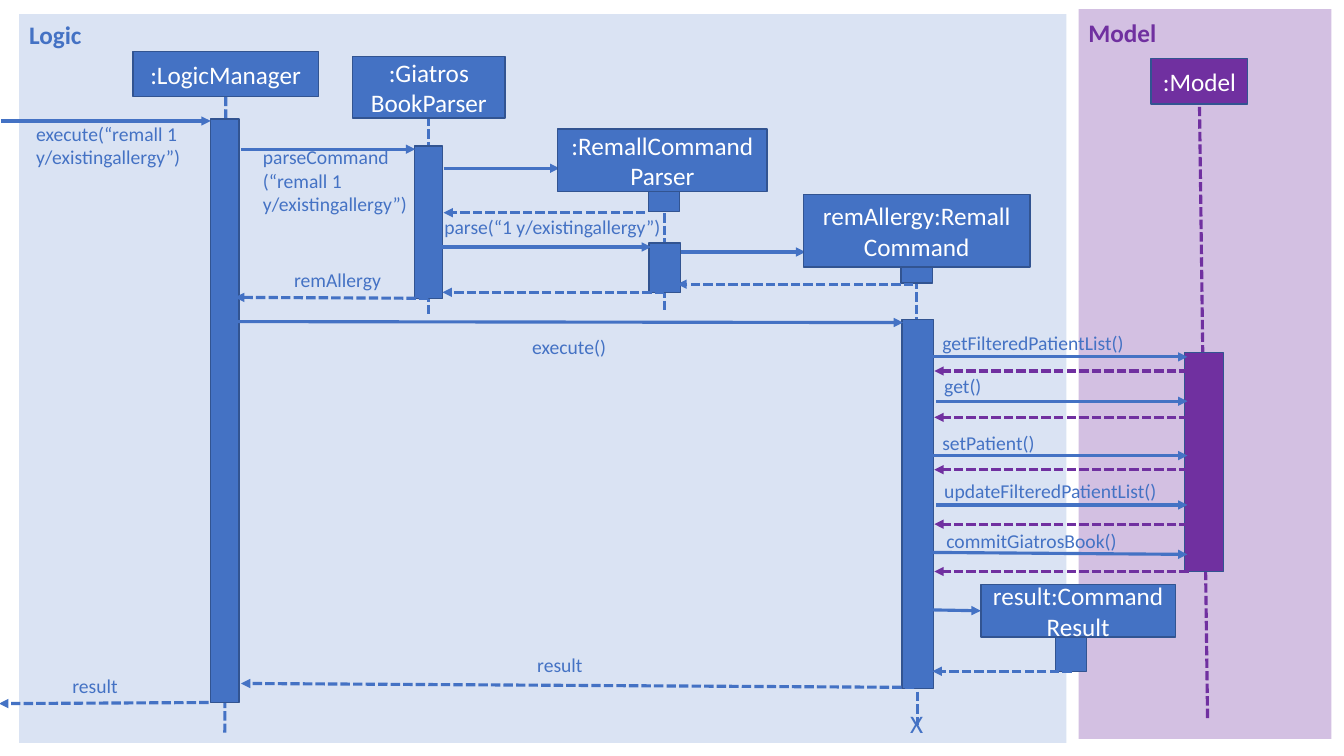
"""Build a sequence diagram of a command passing from Logic to Model."""
from lxml import etree
from pptx import Presentation
from pptx import util as u
from pptx.dml.color import RGBColor
from pptx.enum import dml, shapes, text
from pptx.oxml import ns

COLORS = {"blue": "4472C4", "purple": "7030A0", "outline": "325491",
          "logic": "DAE3F3", "white": "FFFFFF"}
FONT = "Calibri"

PANELS = [("logic", 13.7, 10.1, 748.1, 520.6, 100),
          ("purple", 770.4, 6.5, 180.7, 521.3, 30)]
TITLES = [("Logic", 13.7, 10.1, 54, "blue"), ("Model", 770.4, 8.6, 64, "purple")]

LIFELINES = [
    ("blue", 161.3, 69.1, 160.6, 523.4),
    ("blue", 306, 83.5, 306, 225.4),
    ("blue", 474.5, 143.3, 474.5, 223.2),
    ("blue", 654.5, 190.8, 654.5, 259.2),
    ("blue", 655.2, 449.3, 655.2, 517.7),
    ("purple", 856.8, 76.3, 862.6, 514.8),
]
ACTIVATIONS = [
    ("blue", 150.5, 85, 20.2, 416.9),
    ("blue", 295.9, 104.4, 20.2, 108.7),
    ("blue", 463, 135.4, 22.3, 15.8),
    ("blue", 463.7, 173.5, 22.3, 35.3),
    ("blue", 643.7, 188.6, 22.3, 13.7),
    ("blue", 644.4, 228.2, 22.3, 263.5),
    ("blue", 753.8, 454.3, 22.3, 25.2),
    ("purple", 846, 252, 28.1, 156.2),
]
PARTICIPANTS = [
    (":LogicManager", "blue", 95, 36.7, 132.5, 32.4),
    (":Giatros\nBookParser", "blue", 252, 40.3, 108.7, 43.9),
    (":RemallCommandParser", "blue", 398.2, 92.2, 149.8, 44.6),
    ("remAllergy:Remall\nCommand", "blue", 573.8, 139, 162, 51.8),
    ("result:CommandResult", "blue", 700.6, 417.6, 139, 37.4),
    (":Model", "purple", 822.2, 41.8, 69.1, 32.4),
]

CALLS = [
    (0.7, 86.4, 150.5, 86.4),
    (172.1, 106.6, 296.6, 106.6),
    (316.8, 120.2, 399.6, 120.2),
    (308.9, 176.4, 465.1, 176.4),
    (486.7, 180, 575.3, 180),
    (165.6, 229.7, 645.1, 230.4),
    (663.8, 435.6, 700.6, 436.3),
]
RETURNS = [
    (460.8, 151.9, 316.8, 151.9),
    (652.3, 203, 483.8, 203),
    (474.5, 208.8, 316.1, 208.8),
    (306, 213.1, 167.8, 212.4),
    (765.4, 479.5, 666, 479.5),
    (653, 491, 172.1, 488.2),
    (149, 501.8, -0.7, 502.6),
]
MODEL_CALLS = [
    ("getFilteredPatientList()", 666, 232.6, 147, 664.6, 254.9, 254.9, 265),
    ("get()", 667.4, 263.5, 42, 668.9, 286.6, 286.6, 298.1),
    ("setPatient()", 666, 304.6, 82, 664.6, 325.4, 325.4, 335.5),
    ("updateFilteredPatientList()", 667.4, 338.4, 169, 668.9, 360.7, 360.7, 374.4),
    ("commitGiatrosBook()", 668.9, 374.4, 138, 666, 394.6, 396, 408.2),
]
MODEL_EDGE, MODEL_RETURN, COMMAND_EDGE = 848.2, 849.2, 667.4

LABELS = [
    ("execute(“remall 1 y/existingallergy”)", 18.7, 83.5, 142.6, 41),
    ("parseCommand\n(“remall 1 y/existingallergy”)", 180.7, 100.1, 120.2, 58.3),
    ("parse(“1 y/existingallergy”)", 310.3, 149.8, 205.9, 24.5),
    ("remAllergy", 203, 187.9, 120.2, 24.5),
    ("execute()", 373, 235.4, 80.6, 24.5),
    ("result", 376.6, 463, 77.8, 24.5),
    ("result", 44.6, 478.1, 77.8, 24.5),
]

presentation = Presentation()
presentation.slide_width, presentation.slide_height = u.Pt(960), u.Pt(540)
slide = presentation.slides.add_slide(presentation.slide_layouts[6])


def points(*lengths):
    return [u.Pt(length) for length in lengths]


def rgb(color):
    return RGBColor.from_string(COLORS[color])


def write(shape, words, size, color, bold=False, align=text.PP_ALIGN.LEFT):
    frame = shape.text_frame
    frame.word_wrap = True
    frame.text = words
    for paragraph in frame.paragraphs:
        paragraph.alignment = align
        for run in paragraph.runs:
            run.font.name, run.font.size, run.font.bold = FONT, u.Pt(size), bold
            run.font.color.rgb = rgb(color)


def add_box(color, *place, outlined=True):
    box = slide.shapes.add_shape(shapes.MSO_SHAPE.RECTANGLE, *points(*place))
    box.shadow.inherit = False
    box.fill.solid()
    box.fill.fore_color.rgb = rgb(color)
    if outlined:
        box.line.color.rgb = rgb("outline")
        box.line.width = u.Pt(1)
    else:
        box.line.fill.background()
    return box


def add_label(words, *place, size=14, color="blue", bold=False):
    write(slide.shapes.add_textbox(*points(*place)), words, size, color, bold)


def add_line(color, *ends, dashed=False, arrow=True):
    line = slide.shapes.add_connector(shapes.MSO_CONNECTOR.STRAIGHT, *points(*ends))
    line.line.color.rgb = rgb(color)
    line.line.width = u.Pt(2.25)
    if dashed:
        line.line.dash_style = dml.MSO_LINE.SQUARE_DOT
    if arrow:
        etree.SubElement(line.line._get_or_add_ln(), ns.qn("a:tailEnd"), type="triangle")
    etree.SubElement(line._element.spPr, ns.qn("a:effectLst"))


for color, *place, opacity in PANELS:
    panel = add_box(color, *place, outlined=False)
    if opacity < 100:
        fill = panel._element.spPr.find(ns.qn("a:solidFill"))
        etree.SubElement(fill[0], ns.qn("a:alpha"), val=str(opacity * 1000))
for words, left, top, width, color in TITLES:
    add_label(words, left, top, width, 29, size=18, color=color, bold=True)

for color, *ends in LIFELINES:
    add_line(color, *ends, dashed=True, arrow=False)
for activation in ACTIVATIONS:
    add_box(*activation)

for ends in CALLS:
    add_line("blue", *ends)
for ends in RETURNS:
    add_line("blue", *ends, dashed=True)
for words, left, top, width, start, start_y, end_y, return_y in MODEL_CALLS:
    add_line("blue", start, start_y, MODEL_EDGE, end_y)
    add_line("purple", MODEL_RETURN, return_y, COMMAND_EDGE, return_y, dashed=True)
    add_label(words, left, top, width, 24.5)

for words, color, *place in PARTICIPANTS:
    participant = add_box(color, *place)
    participant.text_frame.vertical_anchor = text.MSO_ANCHOR.MIDDLE
    write(participant, words, 18, "white", align=text.PP_ALIGN.CENTER)
for label in LABELS:
    add_label(*label)
add_label("X", 643, 502.6, 77.8, 29, size=18)

presentation.save("out.pptx")
